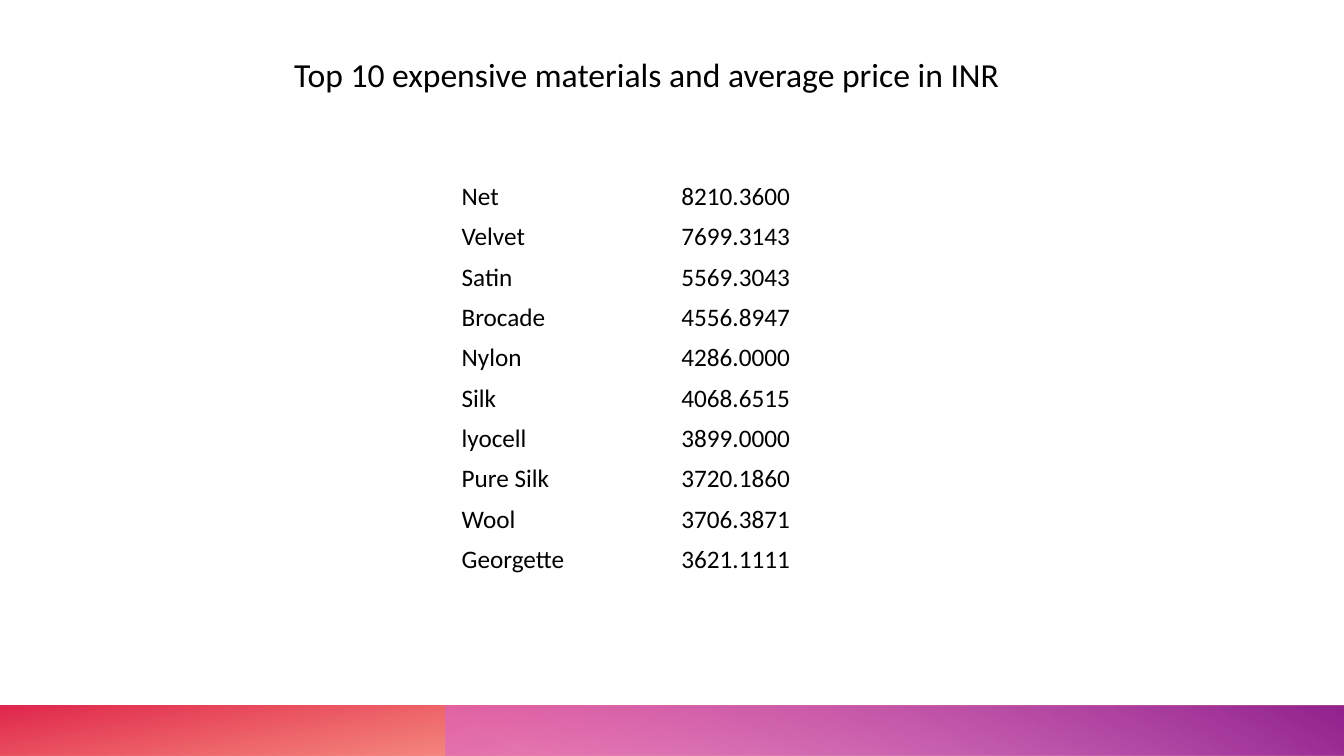
import pptx
import pptx.util
import pptx.dml.color
import pptx.enum.shapes
import pptx.enum.text
import pptx.oxml
import pptx.oxml.ns

RGB = pptx.dml.color.RGBColor
BLACK = RGB(0x00, 0x00, 0x00)
ORANGE = RGB(0xFE, 0x4A, 0x00)
RED = RGB(0xDA, 0x00, 0x2F)
PINK = RGB(0xD8, 0x61, 0xD4)
PURPLE = RGB(0x92, 0x24, 0x8E)

WIDE = pptx.util.Inches(13.333)
HIGH = pptx.util.Inches(7.5)
FONT = "Calibri"

PRICES = [
    ("Net", "8210.3600"),
    ("Velvet", "7699.3143"),
    ("Satin", "5569.3043"),
    ("Brocade", "4556.8947"),
    ("Nylon", "4286.0000"),
    ("Silk", "4068.6515"),
    ("lyocell", "3899.0000"),
    ("Pure Silk", "3720.1860"),
    ("Wool", "3706.3871"),
    ("Georgette", "3621.1111"),
]


def place(left, top, width, height):
    """Turn percentages of the slide into lengths."""
    return (int(WIDE * left / 100), int(HIGH * top / 100),
            int(WIDE * width / 100), int(HIGH * height / 100))


def write(frame, text, size):
    para = frame.paragraphs[0]
    para.text = text
    para.font.name = FONT
    para.font.size = pptx.util.Pt(size)
    para.font.color.rgb = BLACK


def add_band(slide, left, stops, angle, turn=0):
    """Footer band from left to the slide's edge; stops are (place, colour, opacity)."""
    band = slide.shapes.add_shape(
        pptx.enum.shapes.MSO_SHAPE.RECTANGLE,
        *place(left, 93.33, 100 - left, 6.67))
    band.shadow.inherit = False
    band.line.fill.background()
    band.rotation = turn
    props = band._element.spPr
    props.find(pptx.oxml.ns.qn("a:xfrm")).set("flipH", "1")
    # Gradient with transparency
    marks = "".join(
        f'<a:gs pos="{spot * 1000}"><a:srgbClr val="{color}">'
        f'<a:alpha val="{solid * 1000}"/></a:srgbClr></a:gs>'
        for spot, color, solid in stops)
    grad = pptx.oxml.parse_xml(
        f'<a:gradFill {pptx.oxml.ns.nsdecls("a")} rotWithShape="1">'
        f'<a:gsLst>{marks}</a:gsLst>'
        f'<a:lin ang="{angle * 60000}" scaled="0"/></a:gradFill>')
    props.find(pptx.oxml.ns.qn("a:prstGeom")).addnext(grad)


def add_title(slide, text):
    box = slide.shapes.add_textbox(*place(21.15, 6.53, 81.23, 6.67))
    box.text_frame.word_wrap = True
    write(box.text_frame, text, 24)


def add_prices(slide, rows):
    table = slide.shapes.add_table(
        len(rows), 2, *place(33.6, 23.33, 32.7, 53.33)).table
    table.first_row = False
    table.horz_banding = False
    for r, row in enumerate(rows):
        for c, text in enumerate(row):
            cell = table.cell(r, c)
            cell.fill.background()
            cell.vertical_anchor = pptx.enum.text.MSO_ANCHOR.MIDDLE
            write(cell.text_frame, text, 18)


def main():
    deck = pptx.Presentation()
    deck.slide_width, deck.slide_height = WIDE, HIGH
    slide = deck.slides.add_slide(deck.slide_layouts[6])

    # Footer bands
    add_band(slide, 0, [(14, ORANGE, 28), (100, RED, 85)], 100, turn=180)
    add_band(slide, 33.15, [(9, PINK, 55), (99, PURPLE, 100)], 240)

    # Heading and price list
    add_title(slide, "Top 10 expensive materials and average price in INR")
    add_prices(slide, PRICES)

    deck.save("out.pptx")


if __name__ == "__main__":
    main()
